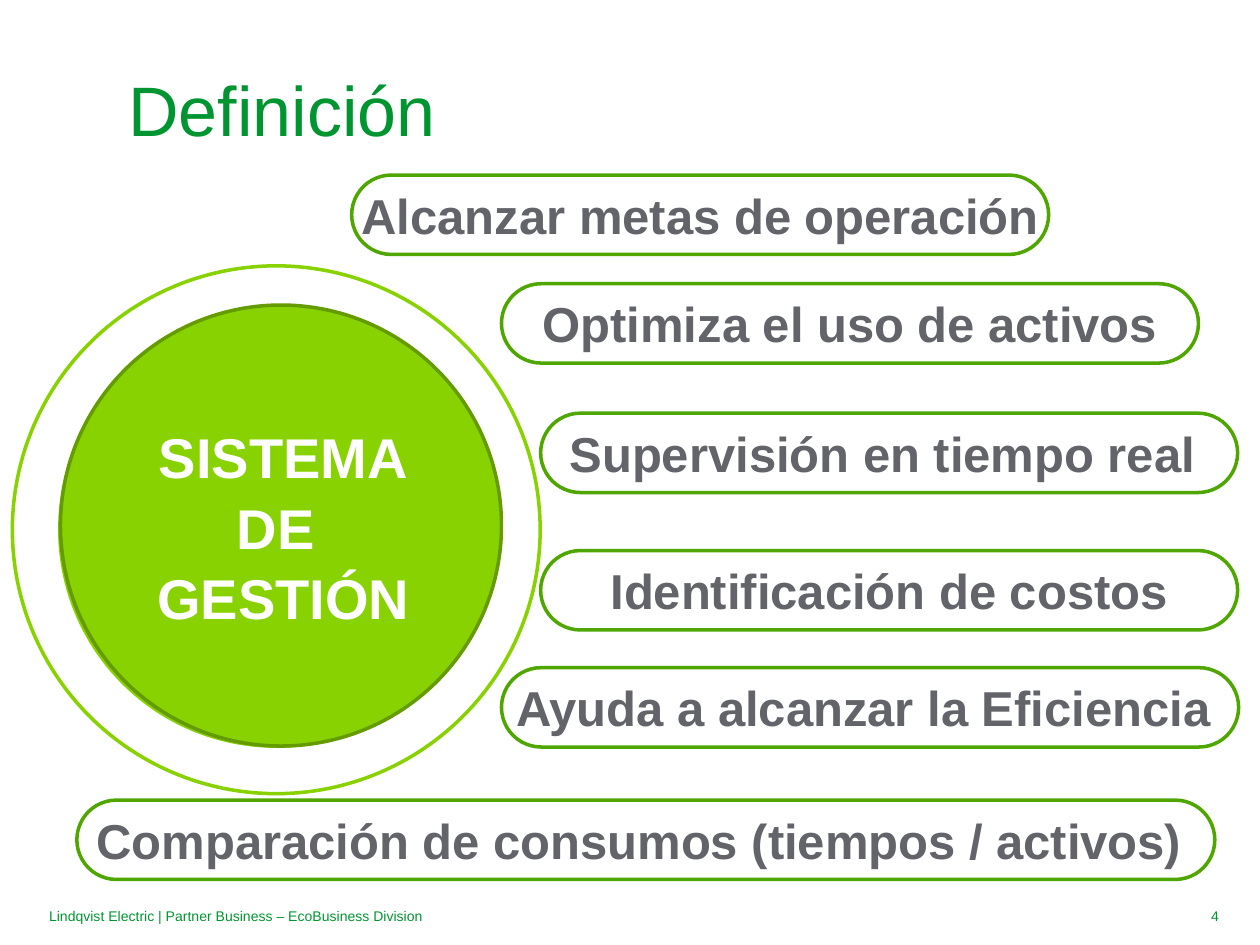
from dataclasses import dataclass

from pptx import Presentation
from pptx.dml.color import RGBColor
from pptx.enum.shapes import MSO_SHAPE
from pptx.enum.text import MSO_ANCHOR, MSO_AUTO_SIZE, PP_ALIGN
from pptx.util import Cm, Pt


@dataclass(frozen=True)
class Theme:
    """Colours, font and type sizes of the slide."""
    font: str = "Arial"
    brand: str = "009530"
    lime: str = "87D200"
    olive: str = "649B00"
    leaf: str = "4FA600"
    grey: str = "626469"
    white: str = "FFFFFF"
    title: int = 40
    hub: int = 32
    pill: int = 28
    footer: int = 8
    outline: int = 2


THEME = Theme()
PILL_HEIGHT = 1.6
BENEFITS = [
    ("Alcanzar metas de operación", 7.09, 3.53, 14.05),
    ("Optimiza el uso de activos", 10.11, 5.72, 14.05),
    ("Supervisión en tiempo real ", 10.9, 8.33, 14.05),
    ("Identificación de costos", 10.9, 11.1, 14.05),
    ("Ayuda a alcanzar la Eficiencia ", 10.11, 13.46, 14.86),
    ("Comparación de consumos (tiempos / activos) ", 1.55, 16.13, 22.94),
]


def write(shape, lines, size, color, bold=False, align=PP_ALIGN.CENTER):
    """Fill a shape with one styled paragraph per line."""
    frame = shape.text_frame
    frame.text = "\n".join(lines)
    for para in frame.paragraphs:
        para.alignment = align
        para.font.name = THEME.font
        para.font.size = Pt(size)
        para.font.bold = bold
        para.font.color.rgb = RGBColor.from_string(color)
    return frame


def clear_insets(frame):
    """Remove the insets and centre the text vertically."""
    frame.margin_left = frame.margin_right = 0
    frame.margin_top = frame.margin_bottom = 0
    frame.vertical_anchor = MSO_ANCHOR.MIDDLE
    frame.word_wrap = True
    frame.auto_size = MSO_AUTO_SIZE.NONE


def add_figure(page, kind, left, top, width, height, fill, line=None):
    """Add a flat preset shape, outlined when a line colour is given."""
    figure = page.shapes.add_shape(kind, Cm(left), Cm(top), Cm(width), Cm(height))
    figure.shadow.inherit = False
    figure.fill.solid()
    figure.fill.fore_color.rgb = RGBColor.from_string(fill)
    if line:
        figure.line.color.rgb = RGBColor.from_string(line)
        figure.line.width = Pt(THEME.outline)
    else:
        figure.line.fill.background()
    return figure


def add_title(page, text):
    """Place and format the title placeholder."""
    title = page.shapes.title
    title.left, title.top, title.width, title.height = Cm(2.59), Cm(1.4), Cm(12.9), Cm(1.57)
    clear_insets(write(title, [text], THEME.title, THEME.brand, align=PP_ALIGN.LEFT))


def add_footer(page, text, left, width, align):
    """Add a small text on the footer line."""
    box = page.shapes.add_textbox(Cm(left), Cm(18.21), Cm(width), Cm(0.51))
    clear_insets(write(box, [text], THEME.footer, THEME.brand, align=align))


def add_hub(page, lines):
    """Add the ring, its disc and the label in the middle."""
    ring = add_figure(page, MSO_SHAPE.DONUT, 0.25, 5.36, 10.64, 10.64, THEME.white, THEME.lime)
    ring.adjustments[0] = 0.09
    add_figure(page, MSO_SHAPE.OVAL, 1.22, 6.15, 8.89, 8.89, THEME.lime, THEME.olive)
    label = add_figure(page, MSO_SHAPE.RECTANGLE, 2.59, 8.33, 6.25, 4.37, THEME.lime)
    frame = write(label, lines, THEME.hub, THEME.white, bold=True)
    frame.vertical_anchor = MSO_ANCHOR.TOP
    for para in frame.paragraphs:
        para.line_spacing = 1.05


def add_pill(page, text, left, top, width):
    """Add a rounded benefit label."""
    pill = add_figure(page, MSO_SHAPE.ROUNDED_RECTANGLE, left, top, width, PILL_HEIGHT,
                      THEME.white, THEME.leaf)
    pill.adjustments[0] = 0.5
    frame = write(pill, [text], THEME.pill, THEME.grey, bold=True)
    frame.vertical_anchor = MSO_ANCHOR.MIDDLE
    frame.word_wrap = False


def main():
    """Build the slide and save the deck."""
    deck = Presentation()
    deck.slide_width, deck.slide_height = Cm(25.4), Cm(19.05)
    page = deck.slides.add_slide(deck.slide_layouts[5])
    add_footer(page, "Lindqvist Electric | Partner Business – EcoBusiness Division",
               0.99, 10.01, PP_ALIGN.LEFT)
    add_footer(page, "4", 24, 0.99, PP_ALIGN.CENTER)
    add_title(page, "Definición")
    add_hub(page, ["SISTEMA", "DE ", "GESTIÓN"])
    for benefit in BENEFITS:
        add_pill(page, *benefit)
    deck.save("out.pptx")


if __name__ == "__main__":
    main()
